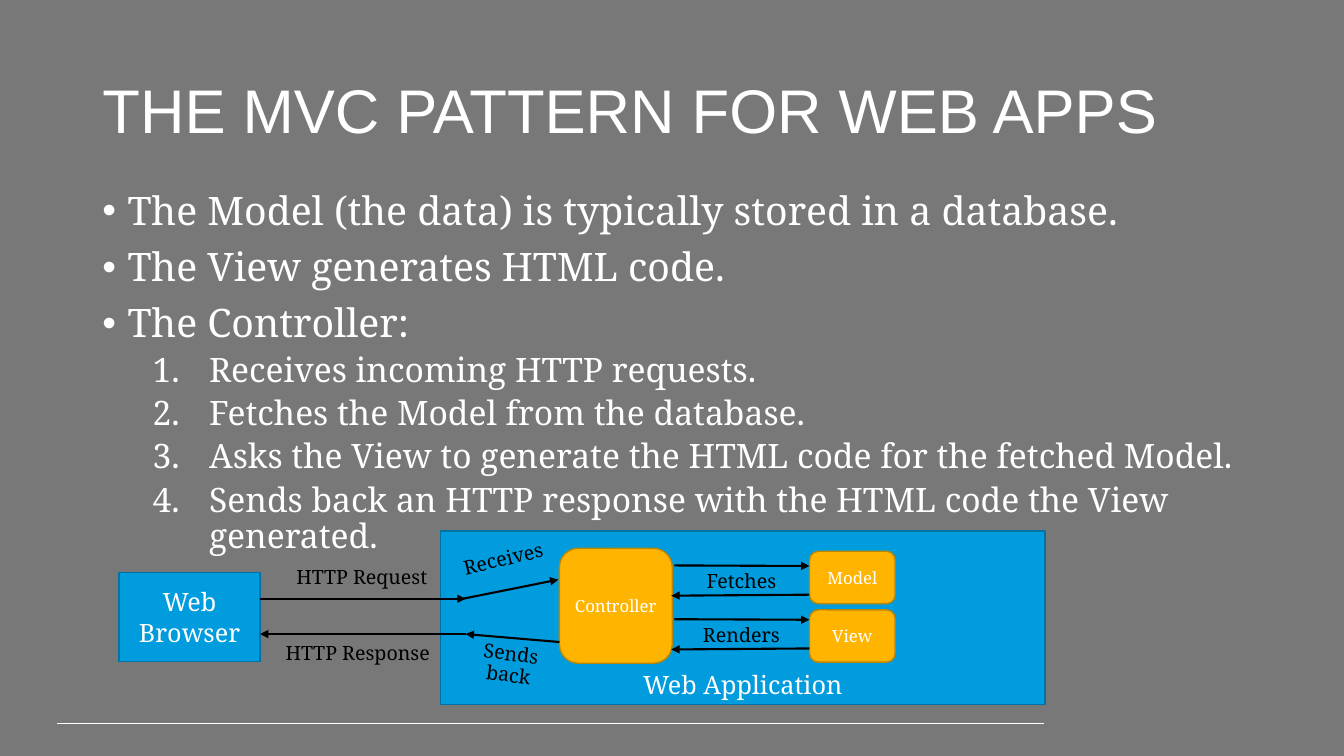
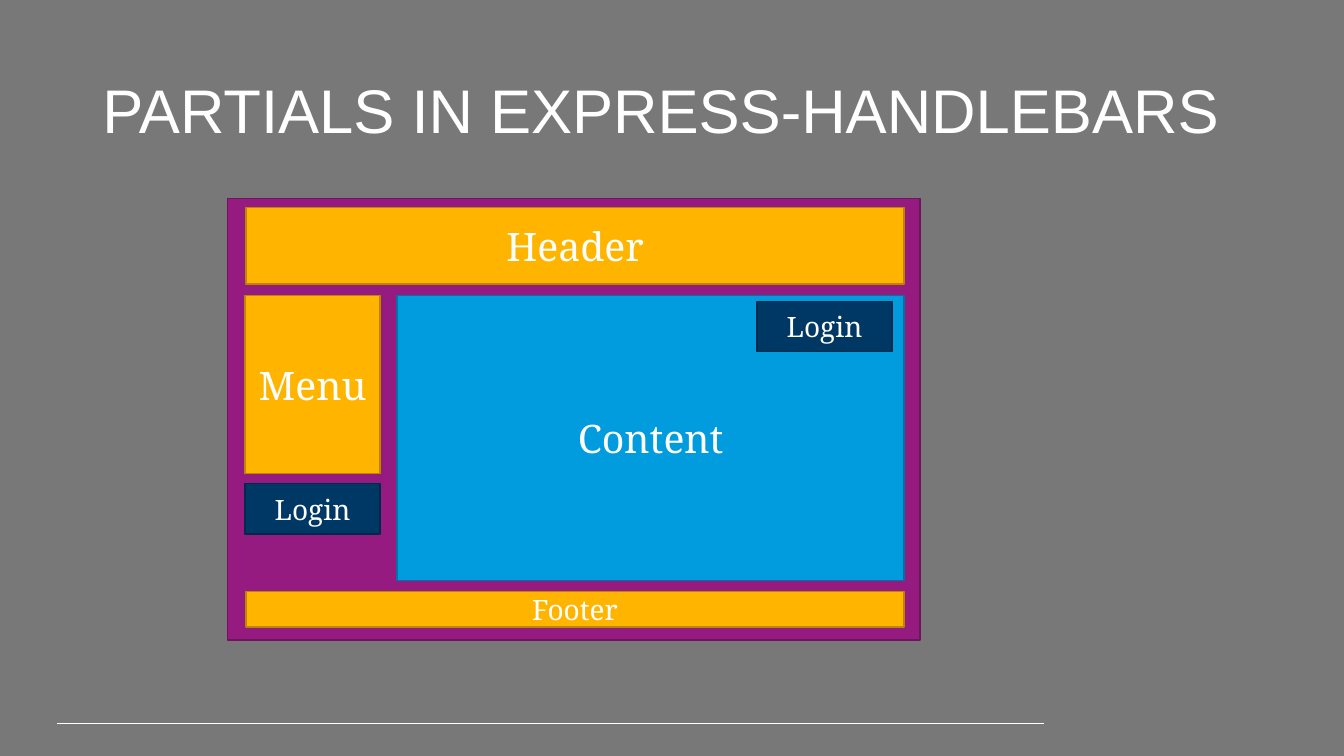
from dataclasses import dataclass

from lxml.etree import SubElement
from pptx import Presentation
from pptx.dml.color import RGBColor
from pptx.enum.shapes import MSO_CONNECTOR, MSO_SHAPE
from pptx.enum.text import MSO_ANCHOR, MSO_AUTO_SIZE, PP_ALIGN
from pptx.oxml.ns import qn
from pptx.util import Pt


@dataclass(frozen=True)
class Theme:
    background: str = "787878"
    white: str = "FFFFFF"
    black: str = "000000"
    # Box styles: fill, outline
    blue: tuple = ("009CDE", "0073A4")
    yellow: tuple = ("FFB500", "BD8600")
    purple: tuple = ("961B81", "6F145F")
    navy: tuple = ("003865", "00294B")
    title_font: str = "Arial"
    text_font: str = "Noto Serif"
    title: int = 44
    large: int = 28
    medium: int = 24
    small: int = 20
    diagram: int = 18
    label: int = 14
    node: int = 12
    line_spacing: float = 0.9


theme = Theme()


def add_box(page, text, place, size, style=None, shape=MSO_SHAPE.RECTANGLE,
            anchor=MSO_ANCHOR.MIDDLE):
    """Add a filled box, or a plain black label when no style is given."""
    place = [Pt(length) for length in place]
    if style:
        box = page.shapes.add_shape(shape, *place)
        box.shadow.inherit = False
        box.fill.solid()
        box.fill.fore_color.rgb = RGBColor.from_string(style[0])
        box.line.color.rgb = RGBColor.from_string(style[1])
        box.line.width = Pt(1)
    else:
        box = page.shapes.add_textbox(*place)
        anchor = MSO_ANCHOR.TOP
    if text:
        frame = box.text_frame
        frame.word_wrap = True
        frame.vertical_anchor = anchor
        frame.margin_left = frame.margin_right = Pt(3.6)
        para = frame.paragraphs[0]
        para.alignment = PP_ALIGN.CENTER
        if not style:
            para.line_spacing = theme.line_spacing
        span = para.add_run()
        span.text = text
        span.font.name = theme.text_font
        span.font.size = Pt(size)
        span.font.color.rgb = RGBColor.from_string(theme.white if style else theme.black)
    return box


def add_line(page, ends, color, width, arrow=False):
    line = page.shapes.add_connector(MSO_CONNECTOR.STRAIGHT, *[Pt(end) for end in ends])
    line.line.color.rgb = RGBColor.from_string(color)
    line.line.width = Pt(width)
    properties = line._element.spPr
    if arrow:
        SubElement(properties.find(qn("a:ln")), qn("a:tailEnd"), type="triangle")
    SubElement(properties, qn("a:effectLst"))


# Deck and shared page design
deck = Presentation()
deck.slide_width, deck.slide_height = Pt(960), Pt(540)
background = deck.slide_master.background.fill
background.solid()
background.fore_color.rgb = RGBColor.from_string(theme.background)

pages = []
for heading in ("THE MVC PATTERN FOR WEB APPS", "PARTIALS IN EXPRESS-HANDLEBARS"):
    page = deck.slides.add_slide(deck.slide_layouts[5])
    add_line(page, (41, 517, 746, 517), theme.white, 0.75)
    title = page.shapes.title
    title.left, title.top, title.width, title.height = Pt(66), Pt(28.8), Pt(828), Pt(104.4)
    frame = title.text_frame
    frame.auto_size = MSO_AUTO_SIZE.NONE
    frame.vertical_anchor = MSO_ANCHOR.MIDDLE
    para = frame.paragraphs[0]
    para.alignment = PP_ALIGN.LEFT
    para.line_spacing = theme.line_spacing
    span = para.add_run()
    span.text = heading
    span.font.name = theme.title_font
    span.font.size = Pt(theme.title)
    span.font.color.rgb = RGBColor.from_string(theme.white)
    pages.append(page)
mvc_page, partials_page = pages

# MVC page: bullets and numbered steps
points = [
    (0, "The Model (the data) is typically stored in a database."),
    (0, "The View generates HTML code."),
    (0, "The Controller:"),
    (1, "Receives incoming HTTP requests."),
    (1, "Fetches the Model from the database."),
    (1, "Asks the View to generate the HTML code for the fetched Model."),
    (1, "Sends back an HTTP response with the HTML code the View generated."),
]
# Per level: type size, space before, left margin, hanging indent
levels = [(theme.large, 10, 18, 18), (theme.medium, 5, 76.3, 40.3)]
body = mvc_page.shapes.add_textbox(Pt(66), Pt(133.2), Pt(864.7), Pt(244))
frame = body.text_frame
frame.word_wrap = True
for index, (level, text) in enumerate(points):
    size, space, margin, hanging = levels[level]
    para = frame.add_paragraph() if index else frame.paragraphs[0]
    para.level = level
    para.line_spacing = theme.line_spacing
    para.space_before = Pt(space)
    properties = para._p.get_or_add_pPr()
    properties.set("marL", str(Pt(margin)))
    properties.set("indent", str(-Pt(hanging)))
    if level:
        SubElement(properties, qn("a:buFont"), typeface="+mj-lt")
        SubElement(properties, qn("a:buAutoNum"), type="arabicPeriod")
    else:
        SubElement(properties, qn("a:buFont"), typeface="Arial")
        SubElement(properties, qn("a:buChar"), char="•")
    span = para.add_run()
    span.text = text
    span.font.name = theme.text_font
    span.font.size = Pt(size)
    span.font.color.rgb = RGBColor.from_string(theme.white)

# MVC page: browser, application and controller
add_box(mvc_page, "Web Application", (314.6, 379.4, 432, 123.8), theme.diagram, theme.blue,
        anchor=MSO_ANCHOR.BOTTOM)
add_box(mvc_page, "Web Browser", (85, 409, 100.8, 63.4), theme.diagram, theme.blue)
add_box(mvc_page, "Controller", (399.6, 391.7, 80.6, 82.1), theme.node, theme.yellow,
        MSO_SHAPE.ROUNDED_RECTANGLE)

# MVC page: request and response
for ends in [
    (185.8, 427.7, 332.6, 427.7),
    (332.6, 452.9, 185.8, 452.9),
    (330.5, 427.7, 398.9, 414),
    (399.6, 458.6, 332.6, 452.9),
]:
    add_line(mvc_page, ends, theme.black, 1.5, arrow=True)
for text, place, angle in [
    ("HTTP Request", (196.6, 401.8, 123.8, 22.3), 0),
    ("HTTP Response", (193.7, 456.5, 123.8, 22.3), 0),
    ("Receives", (323.3, 388.8, 72.7, 22.3), -13.4),
    ("Sends back", (327.6, 456.5, 72.7, 38.2), 7.2),
]:
    add_box(mvc_page, text, place, theme.label).rotation = angle

# MVC page: controller calls to model and view
for row, (node, action) in enumerate([("Model", "Fetches"), ("View", "Renders")]):
    call_y = 403.9 + row * 38.4
    add_box(mvc_page, node, (578.2, 393.8 + row * 41.8, 61.2, 37.4), theme.node,
            theme.yellow, MSO_SHAPE.ROUNDED_RECTANGLE)
    add_line(mvc_page, (481.7, call_y, 578.2, call_y + 0.4), theme.black, 1.5, arrow=True)
    add_line(mvc_page, (578.2, call_y + 20.9, 479.5, call_y + 21.6), theme.black, 1.5,
             arrow=True)
    add_box(mvc_page, action, (493.2, call_y + 0.7, 72.7, 22.3), theme.label)

# Partials page: nested layout regions
for text, place, size, style in [
    ("", (162.7, 141.8, 494.6, 315.4), theme.large, theme.purple),
    ("Header", (175.7, 148.3, 470.2, 54.7), theme.large, theme.yellow),
    ("Menu", (175, 211, 96.5, 127.4), theme.large, theme.yellow),
    ("Content", (283.7, 211, 362.2, 203.8), theme.large, theme.blue),
    ("Login", (175, 345.6, 96.5, 36), theme.small, theme.navy),
    ("Footer", (175.7, 422.6, 470.2, 25.2), theme.small, theme.yellow),
    ("Login", (540.7, 215.3, 96.5, 36), theme.small, theme.navy),
]:
    add_box(partials_page, text, place, size, style)

deck.save("out.pptx")
